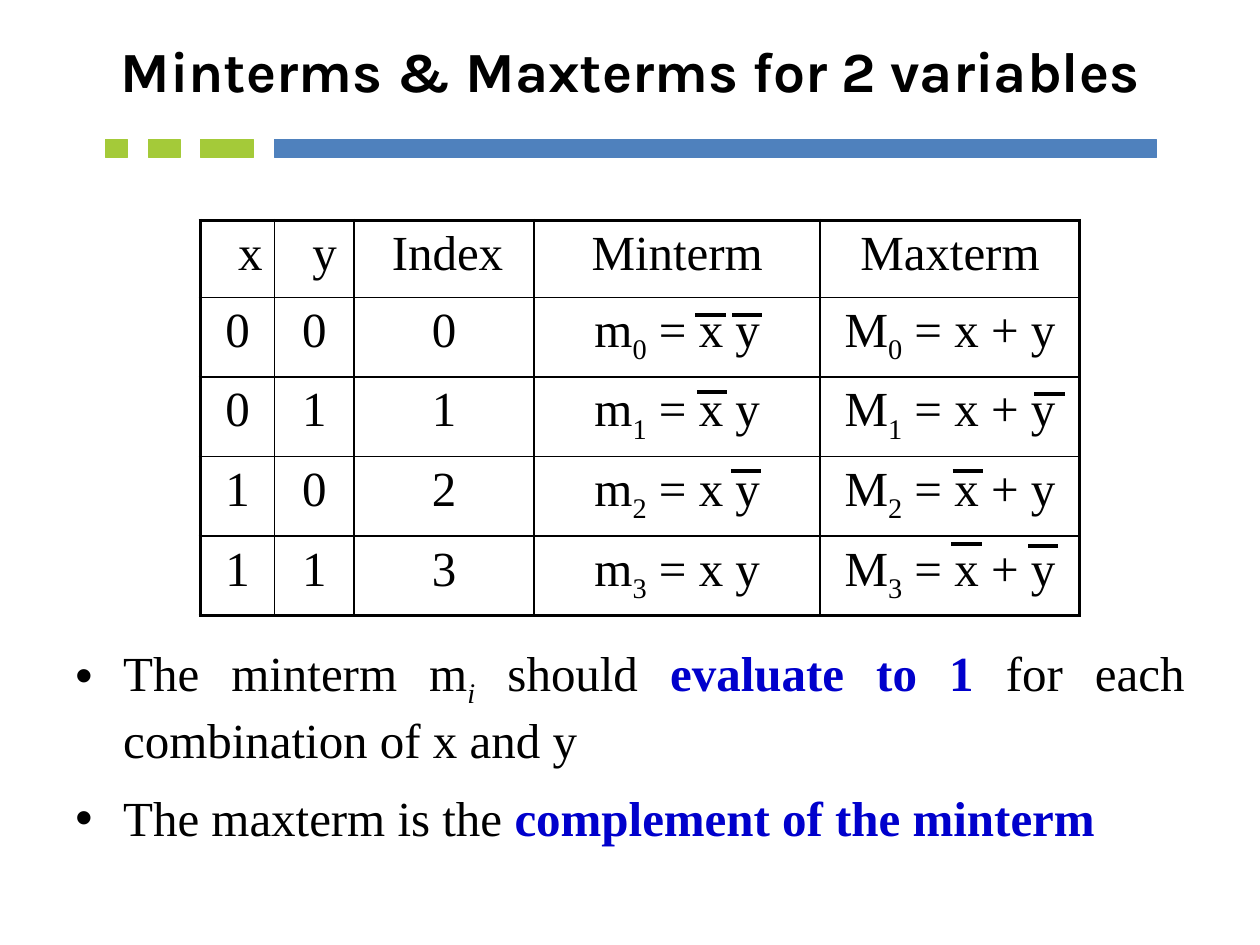
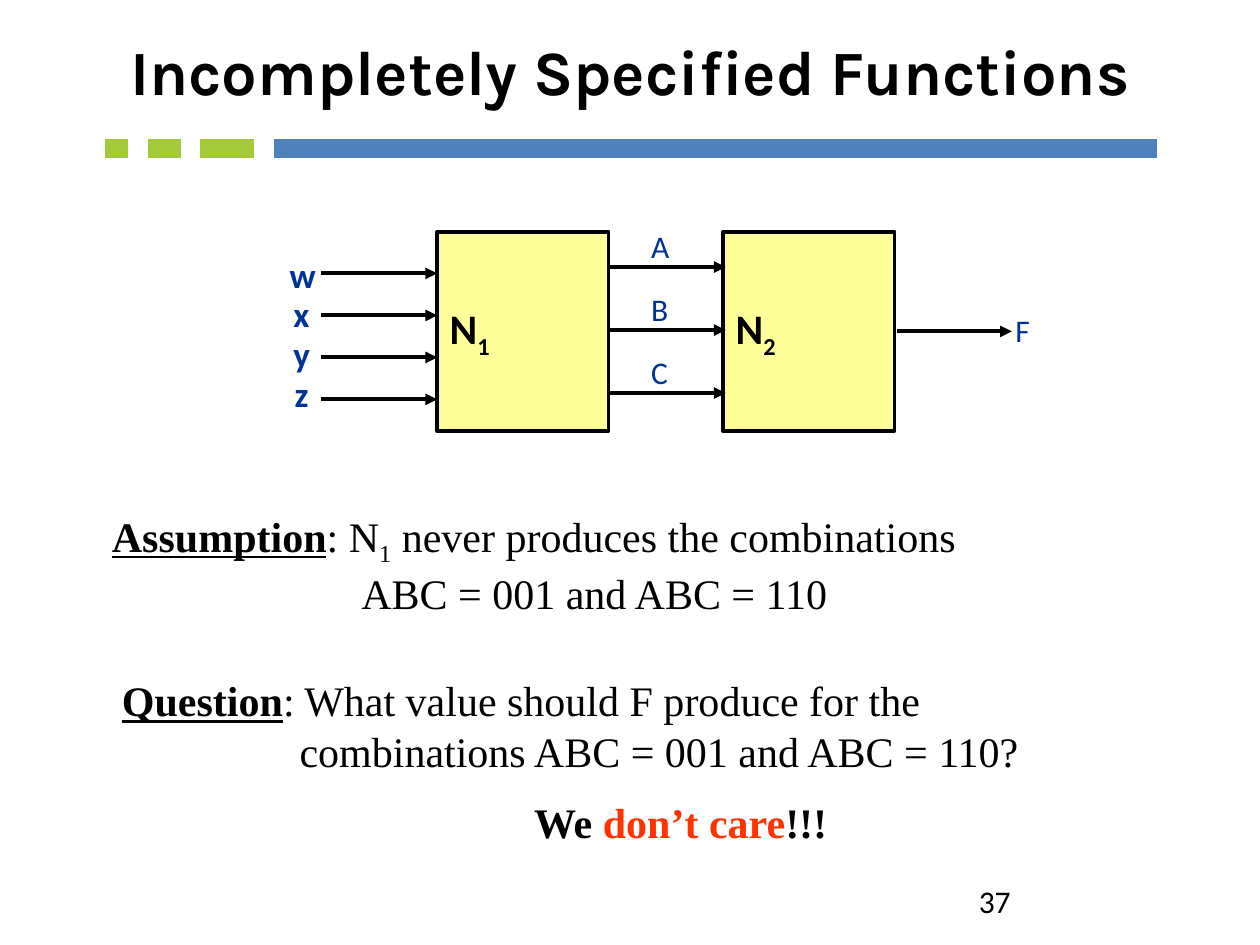
"""Build two slides on minterms, maxterms and incompletely specified functions."""
import lxml.etree
import pptx
import pptx.dml.color
import pptx.enum.shapes
import pptx.enum.text
import pptx.oxml.ns
import pptx.util

Inches = pptx.util.Inches
Points = pptx.util.Pt
Align = pptx.enum.text.PP_ALIGN
Anchor = pptx.enum.text.MSO_ANCHOR
qn = pptx.oxml.ns.qn

BLACK, BLUE, GREEN, YELLOW = "000000", "4F81BD", "A4CA39", "FFFF99"
NAVY, STRONG_BLUE, RED = "003399", "0000CC", "FF3300"
SERIF, SANS, TITLE_FONT = "Times New Roman", "Calibri", "Karla"
THICK, THIN = 2.25, 1
SUBSCRIPT = {"subscript": True}


def rgb(color):
    return pptx.dml.color.RGBColor.from_string(color)


def add_element(parent, tag, **attributes):
    return lxml.etree.SubElement(parent, qn(tag), attributes)


class SlideBuilder:
    def __init__(self, deck):
        self.deck = deck
        self.slide = None

    def new_slide(self, title, size):
        self.slide = self.deck.slides.add_slide(self.deck.slide_layouts[5])
        box = self.slide.shapes.title
        box.left, box.top = Inches(0.5), Inches(0.03)
        box.width, box.height = Inches(9), Inches(1.05)
        box.text_frame.vertical_anchor = Anchor.MIDDLE
        self.fill_paragraph(box.text_frame.paragraphs[0], [(title, {"bold": True})],
                            size, TITLE_FONT, align=Align.CENTER)
        for left, width, color in ((2.18, 7, BLUE), (0.84, 0.17, GREEN),
                                   (1.18, 0.25, GREEN), (1.59, 0.42, GREEN)):
            self.rectangle(left, 1.11, width, 0.14, color, color, 0.75)

    def fill_paragraph(self, para, spans, size, font, color=BLACK,
                       align=Align.LEFT, indent=0):
        para.alignment = align
        if indent:
            para._p.get_or_add_pPr().set("marL", str(Inches(indent)))
        for text, style in spans:
            span = para.add_run()
            span.text = text
            span.font.size = Points(size)
            span.font.name = font
            span.font.bold = style.get("bold", False)
            span.font.italic = style.get("italic", False)
            span.font.underline = style.get("underline", False)
            span.font.color.rgb = rgb(style.get("color", color))
            if style.get("subscript"):
                span.font._element.set("baseline", "-25000")

    def rectangle(self, left, top, width, height, fill, line, line_width):
        box = self.slide.shapes.add_shape(
            pptx.enum.shapes.MSO_SHAPE.RECTANGLE,
            Inches(left), Inches(top), Inches(width), Inches(height))
        box.shadow.inherit = False
        box.fill.solid()
        box.fill.fore_color.rgb = rgb(fill)
        box.line.color.rgb = rgb(line)
        box.line.width = Points(line_width)
        return box

    def network(self, left, number):
        box = self.rectangle(left, 1.84, 1.36, 1.58, YELLOW, BLACK, THICK)
        box.text_frame.vertical_anchor = Anchor.MIDDLE
        self.fill_paragraph(box.text_frame.paragraphs[0],
                            [("N", {"bold": True}), (number, {"bold": True, **SUBSCRIPT})],
                            24, SANS)

    def text(self, left, top, width, height, lines, size, font,
             color=BLACK, wrap=False, indents=(0, 0), anchor=Anchor.MIDDLE):
        box = self.slide.shapes.add_textbox(
            Inches(left), Inches(top), Inches(width), Inches(height))
        frame = box.text_frame
        frame.word_wrap = wrap
        frame.vertical_anchor = anchor
        for number, spans in enumerate(lines):
            para = frame.add_paragraph() if number else frame.paragraphs[0]
            self.fill_paragraph(para, spans, size, font, color, indent=indents[number])
        return frame

    def bullets(self, left, top, width, height, lines):
        frame = self.text(left, top, width, height, lines, 28, SERIF,
                          wrap=True, anchor=Anchor.TOP)
        for number, para in enumerate(frame.paragraphs):
            para.alignment = Align.JUSTIFY
            para.space_before = Points(11.2 if number else 0)
            properties = para._p.get_or_add_pPr()
            properties.set("marL", str(Inches(0.38)))
            properties.set("indent", str(Inches(-0.38)))
            add_element(properties, "a:buFont", typeface="Arial")
            add_element(properties, "a:buChar", char="•")

    def line(self, left, top, length, arrow=False):
        connector = self.slide.shapes.add_connector(
            pptx.enum.shapes.MSO_CONNECTOR.STRAIGHT,
            Inches(left), Inches(top), Inches(left + length), Inches(top))
        connector.line.color.rgb = rgb(BLACK)
        connector.line.width = Points(THICK)
        properties = connector._element.spPr
        if arrow:
            add_element(properties.find(qn("a:ln")), "a:tailEnd", type="triangle")
        add_element(properties, "a:effectLst")

    def table(self, left, top, widths, row_height, rows):
        table = self.slide.shapes.add_table(
            len(rows), len(widths), Inches(left), Inches(top),
            Inches(sum(widths)), Inches(row_height * len(rows))).table
        table.first_row = table.horz_banding = False
        for column, width in zip(table.columns, widths):
            column.width = Inches(width)
        last_row, last_column = len(rows) - 1, len(widths) - 1
        for row, values in enumerate(rows):
            table.rows[row].height = Inches(row_height)
            for column, spans in enumerate(values):
                cell = table.cell(row, column)
                indented = row == 0 and column < 3
                self.fill_paragraph(cell.text_frame.paragraphs[0], spans, 28, SERIF,
                                    align=Align.LEFT if indented else Align.CENTER,
                                    indent=0.2 if indented else 0)
                self.borders(cell, {"a:lnL": column == 0, "a:lnR": column == last_column,
                                    "a:lnT": row == 0, "a:lnB": row == last_row})
                cell.fill.background()

    def borders(self, cell, outer_sides):
        properties = cell._tc.get_or_add_tcPr()
        for tag, outer in outer_sides.items():
            border = add_element(properties, tag, w=str(Points(THICK if outer else THIN)))
            add_element(add_element(border, "a:solidFill"), "a:srgbClr", val=BLACK)


def build_minterms(builder):
    builder.new_slide("Minterms & Maxterms for 2 variables", 32.4)
    builder.bullets(0.5, 5.05, 9, 1.65, [
        [("The minterm m", {}), ("i", {"italic": True, **SUBSCRIPT}), (" should ", {}),
         ("evaluate to 1 ", {"bold": True, "color": STRONG_BLUE}),
         ("for each combination of x and y", {})],
        [("The maxterm is the ", {}),
         ("complement of the minterm", {"bold": True, "color": STRONG_BLUE})]])
    rows = [[[(name, {})] for name in ("x", "y", "Index", "Minterm", "Maxterm")]]
    for index in range(4):
        x, y = divmod(index, 2)
        numbers = [[(str(value), {})] for value in (x, y, index)]
        terms = [[(letter, {}), (str(index), SUBSCRIPT), (formula, {})]
                 for letter, formula in (("m", " = x y"), ("M", " = x + y"))]
        rows.append(numbers + terms)
    builder.table(1.59, 1.75, [0.59, 0.63, 1.43, 2.27, 2.06], 0.61, rows)
    for left, top in ((5.52, 2.5), (5.81, 2.5), (5.53, 3.11), (5.8, 3.74),
                      (8.21, 3.13), (7.56, 3.74), (7.55, 4.32), (8.16, 4.33)):
        builder.line(left, top, 0.24)


def build_incomplete_functions(builder):
    builder.new_slide("Incompletely Specified Functions", 36)
    builder.network(3.47, "1")
    builder.network(5.74, "2")
    for number, (name, left, width) in enumerate(
            (("w", 2.2, 0.42), ("x", 2.23, 0.36), ("y", 2.23, 0.36), ("z", 2.24, 0.34))):
        builder.line(2.55, 2.17 + number / 3, 0.92, arrow=True)
        builder.text(left, 1.96 + number * 0.315, width, 0.43,
                     [[(name, {"bold": True})]], 20, SANS, NAVY)
    for number, name in enumerate("ABC"):
        builder.line(4.84, 2.12 + number * 0.5, 0.92, arrow=True)
        builder.text(5.07, 1.75 + number * 0.5, 0.37, 0.4, [[(name, {})]], 18, SANS, NAVY)
    builder.line(7.12, 2.63, 0.91, arrow=True)
    builder.text(7.96, 2.42, 0.35, 0.4, [[("F", {})]], 18, SANS, NAVY)

    heading = {"bold": True, "underline": True}
    builder.text(0.79, 4.02, 7.2, 0.91, [
        [("Assumption", heading), (": N", {}), ("1", SUBSCRIPT),
         (" never produces the combinations", {})],
        [("ABC = 001 and ABC = 110", {})]], 24, SERIF, wrap=True, indents=(0, 1.98))
    builder.text(0.87, 5.3, 7.6, 0.91, [
        [("Question", heading), (": What value should F produce for the", {})],
        [("combinations ABC = 001 and ABC = 110?", {})]],
        24, SERIF, wrap=True, indents=(0, 1.41))
    builder.text(4.14, 6.27, 2.55, 0.5, [
        [("We", {"bold": True}), (" don’t care", {"bold": True, "color": RED}),
         ("!!!", {"bold": True})]], 24, SERIF)
    builder.text(7.67, 6.95, 2.33, 0.4, [[("37", {})]], 18, SANS, wrap=True,
                 anchor=Anchor.TOP)


def main():
    deck = pptx.Presentation()
    deck.slide_width, deck.slide_height = Inches(10), Inches(7.5)
    builder = SlideBuilder(deck)
    build_minterms(builder)
    build_incomplete_functions(builder)
    deck.save("out.pptx")


if __name__ == "__main__":
    main()
